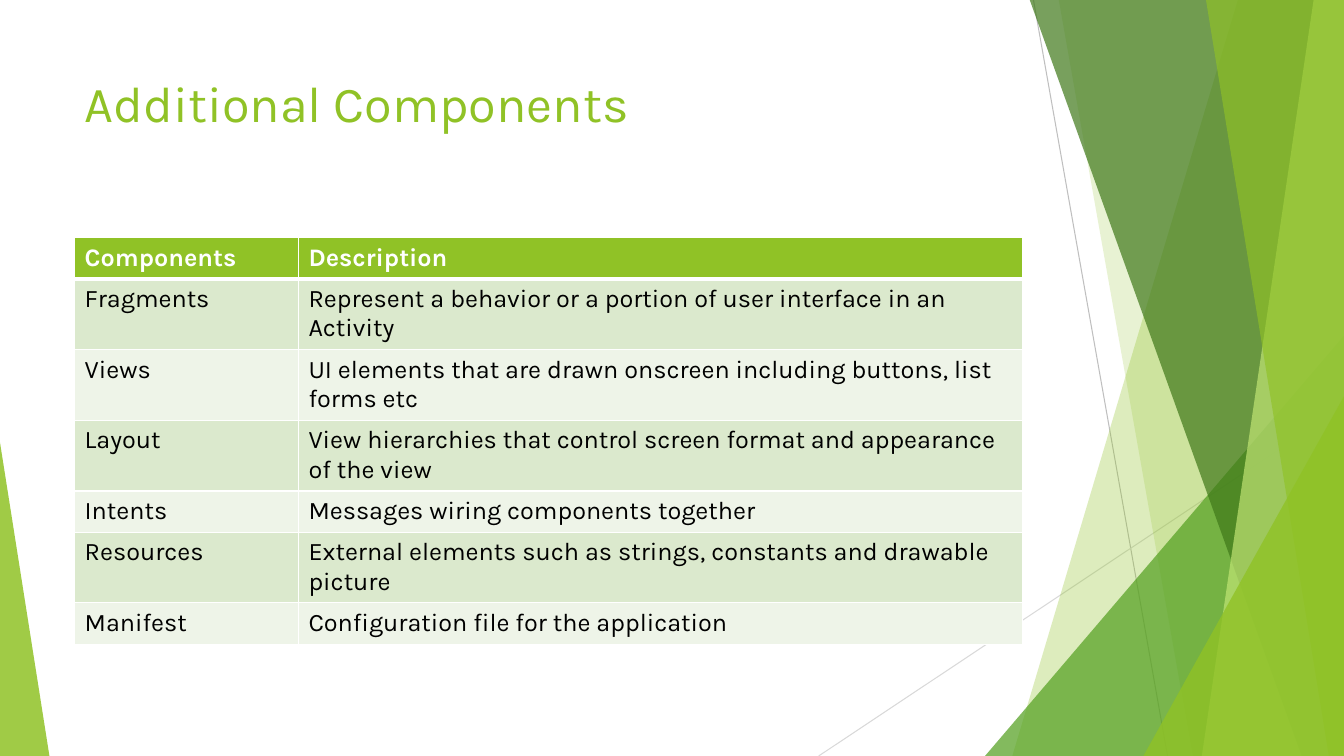
from pptx import Presentation
from pptx.dml.color import RGBColor
from pptx.enum.shapes import MSO_CONNECTOR, MSO_SHAPE
from pptx.oxml.ns import qn
from pptx.util import Inches, Pt
from lxml.etree import SubElement as Sub

LIME = RGBColor(0x90, 0xC2, 0x26)
LEAF = RGBColor(0x54, 0xA0, 0x21)
PINE = RGBColor(0x3F, 0x78, 0x19)
PALE = RGBColor(0xC0, 0xE4, 0x74)
BAND = RGBColor(0xDB, 0xE9, 0xCD)
MIST = RGBColor(0xEE, 0xF4, 0xE8)
GRAY = RGBColor(0xBF, 0xBF, 0xBF)
SILVER = RGBColor(0xD9, 0xD9, 0xD9)
WHITE = RGBColor(0xFF, 0xFF, 0xFF)
BLACK = RGBColor(0, 0, 0)

FONT = "Karla"
WIDE, HIGH, TOP = 13.33, 7.5, -0.01
LEFT, SPAN = 0.74, 9.4
TITLE = "Additional Components"
ROWS = [
    ("Components", "Description"),
    ("Fragments", "Represent a behavior or a portion of user interface in an Activity"),
    ("Views", "UI elements that are drawn onscreen including buttons, list forms etc"),
    ("Layout", "View hierarchies that control screen format and appearance of the view"),
    ("Intents", "Messages wiring components together"),
    ("Resources", "External elements such as strings, constants and drawable picture"),
    ("Manifest", "Configuration file for the application"),
]
COLS = (2.22, 7.18)
ROW = 0.41
LINES = [
    (10.25, 0, 11.58, HIGH, GRAY),
    (WIDE, 4.03, 8.12, HIGH, SILVER),
]
PANELS = [
    ("wedge", 12.28, 10.04, LIME, 30),
    ("wedge", 10.5, 11.83, LIME, 20),
    ("right", 3.56, 4.17, LEAF, 72),
    ("wedge", 10.21, 12.91, PINE, 70),
    ("wedge", 13.03, 11.92, PALE, 70),
    ("wedge", 11.96, 13.18, LIME, 65),
    ("right", 1.99, 3.57, LIME, 80),
    ("left", 0.49, 3.11, LIME, 85),
]


def draw_line(shapes, x1, y1, x2, y2, color):
    line = shapes.add_connector(MSO_CONNECTOR.STRAIGHT, *map(Inches, (x1, y1, x2, y2)))
    line.line.color.rgb = color
    line.line.width = Pt(0.75)
    Sub(line._element.spPr, qn("a:effectLst"))


def wedge(shapes, head, foot):
    pts = [(head, TOP), (WIDE, TOP), (WIDE, HIGH), (foot, HIGH)]
    pts = [(Inches(x), Inches(y)) for x, y in pts]
    form = shapes.build_freeform(*pts[0])
    form.add_line_segments(pts[1:], close=True)
    return form.convert_to_shape()


def corner(shapes, side, width, height):
    x = WIDE - width if side == "right" else 0
    box = map(Inches, (x, HIGH - height, width, height))
    shape = shapes.add_shape(MSO_SHAPE.ISOSCELES_TRIANGLE, *box)
    shape.adjustments[0] = 1 if side == "right" else 0
    return shape


def draw_panel(shapes, kind, a, b, color, alpha):
    shape = wedge(shapes, a, b) if kind == "wedge" else corner(shapes, kind, a, b)
    shape.shadow.inherit = False
    shape.fill.solid()
    shape.fill.fore_color.rgb = color
    shape.line.fill.background()
    tint = shape._element.spPr.find(qn("a:solidFill"))[0]
    Sub(tint, qn("a:alpha"), val=str(alpha * 1000))


def style(para, size, color, bold=False):
    font = para.font
    font.name, font.size, font.bold = FONT, Pt(size), bold
    font.color.rgb = color


def border(cell, widths):
    props = cell._tc.get_or_add_tcPr()
    for side, width in widths.items():
        edge = Sub(props, qn("a:ln" + side), w=str(Pt(width)))
        Sub(Sub(edge, qn("a:solidFill")), qn("a:srgbClr"), val=str(WHITE))


def draw_table(shapes):
    box = map(Inches, (LEFT, 2.36, SPAN, ROW * len(ROWS)))
    table = shapes.add_table(len(ROWS), len(COLS), *box).table
    for col, width in zip(table.columns, COLS):
        col.width = Inches(width)
    for r, texts in enumerate(ROWS):
        table.rows[r].height = Inches(ROW)
        for c, text in enumerate(texts):
            cell = table.cell(r, c)
            cell.text = text
            style(cell.text_frame.paragraphs[0], 18, BLACK if r else WHITE, r == 0)
            border(cell, {"L": 1, "R": 1, "T": 3 if r == 1 else 1, "B": 1 if r else 3})
            cell.fill.solid()
            cell.fill.fore_color.rgb = (MIST, BAND)[r % 2] if r else LIME


def main():
    deck = Presentation()
    deck.slide_width, deck.slide_height = Inches(WIDE), Inches(HIGH)
    shapes = deck.slides.add_slide(deck.slide_layouts[6]).shapes
    for line in LINES:
        draw_line(shapes, *line)
    for panel in PANELS:
        draw_panel(shapes, *panel)
    frame = shapes.add_textbox(*map(Inches, (LEFT, 0.67, SPAN, 1.44))).text_frame
    frame.word_wrap = True
    frame.text = TITLE
    style(frame.paragraphs[0], 36, LIME)
    draw_table(shapes)
    deck.save("out.pptx")


if __name__ == "__main__":
    main()
